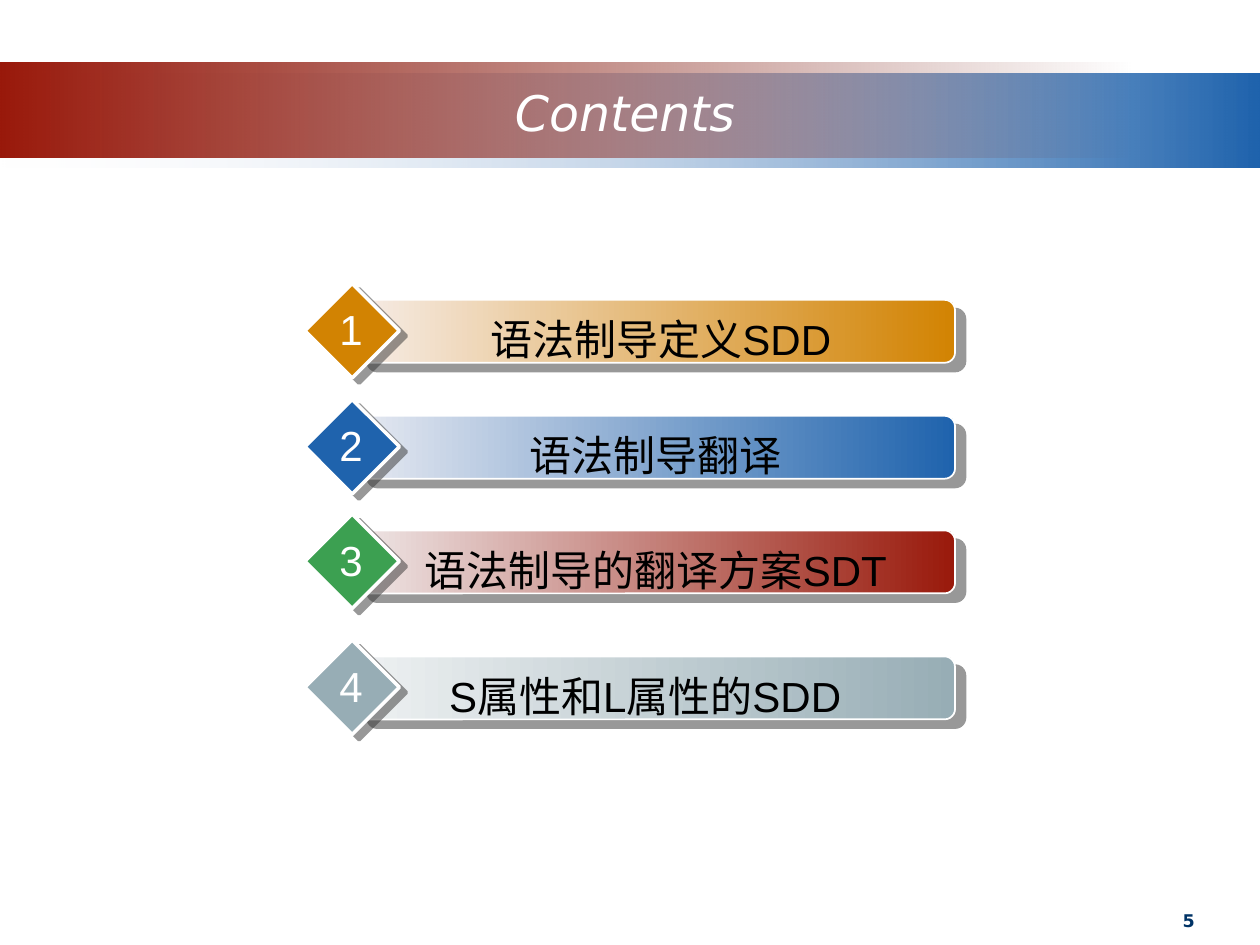
from pptx import Presentation
from pptx.dml.color import RGBColor
from pptx.enum.shapes import MSO_SHAPE as Shape
from pptx.enum.text import MSO_ANCHOR as Anchor, PP_ALIGN as Align
from pptx.oxml.ns import qn
from pptx.util import Inches, Pt
from lxml.etree import SubElement

# top, text width, bar start, bar end, diamond colour, text
ENTRIES = [
    (2.25, 4.33, "F6ECE6", "D28302", "D28302", "语法制导定义SDD"),
    (3.17, 4.25, "E6E9F1", "1F63AD", "1F63AD", "语法制导翻译"),
    (4.08, 4.25, "EEE6E6", "99190B", "3CA051", "语法制导的翻译方案SDT"),
    (5.08, 4.08, "EEF1F2", "97ADB5", "97ADB5", "S属性和L属性的SDD"),
]


def color(value):
    return RGBColor.from_string(value)


def add_box(shapes, kind, left, top, width, height):
    shape = shapes.add_shape(kind, Inches(left), Inches(top), Inches(width), Inches(height))
    shape.shadow.inherit = False
    shape.line.fill.background()
    return shape


def set_gradient(shape, start, end, clear_stop=None):
    """Fill from left to right; clear_stop is the index of a transparent end."""
    shape.fill.gradient()
    shape.fill.gradient_angle = 0
    for index, (stop, value) in enumerate(zip(shape.fill.gradient_stops, (start, end))):
        stop.position = index
        stop.color.rgb = color(value)
    if clear_stop is not None:
        gradient = shape._element.spPr.find(qn("a:gradFill"))
        srgb = list(gradient.iter(qn("a:srgbClr")))[clear_stop]
        SubElement(srgb, qn("a:alpha"), val="0")


def set_outline(shape, width):
    shape.line.color.rgb = color("FFFFFF")
    shape.line.width = Pt(width)


def set_shadow(shape, distance, degrees):
    effects = shape._element.spPr.find(qn("a:effectLst"))
    shadow = SubElement(effects, qn("a:outerShdw"), blurRad="0", dist=str(Pt(distance)),
                        dir=str(degrees * 60000), algn="ctr", rotWithShape="0")
    srgb = SubElement(shadow, qn("a:srgbClr"), val="333333")
    SubElement(srgb, qn("a:alpha"), val="50000")


def add_text(shapes, left, top, width, height, text, size, value,
             font="Arial", align=Align.CENTER, wrap=True, bold=False, italic=False):
    box = shapes.add_textbox(Inches(left), Inches(top), Inches(width), Inches(height))
    frame = box.text_frame
    frame.word_wrap = wrap
    paragraph = frame.paragraphs[0]
    paragraph.text = text
    paragraph.alignment = align
    paragraph.font.name = font
    paragraph.font.size = Pt(size)
    paragraph.font.bold = bold
    paragraph.font.italic = italic
    paragraph.font.color.rgb = color(value)
    return frame


def add_header(slide, left, top, width):
    # Two overlapping bands, each fading out at one end
    blue = add_box(slide.shapes, Shape.RECTANGLE, left, top + 0.08, width, 0.75)
    set_gradient(blue, "F1F2F7", "1F63AD", clear_stop=0)
    red = add_box(slide.shapes, Shape.RECTANGLE, left, top, width - 1, 0.75)
    set_gradient(red, "99190B", "6D1208", clear_stop=1)
    title = add_text(slide.shapes, left + 0.92, top + 0.08, 8.08, 0.62, "Contents", 28,
                     "FFFFFF", font="DejaVu Sans", italic=True)
    title.vertical_anchor = Anchor.MIDDLE


def add_entry(slide, left, top, number, text_width, start, end, accent, text):
    shapes = slide.shapes.add_group_shape().shapes
    # Bar
    bar = add_box(shapes, Shape.ROUNDED_RECTANGLE, left + 0.41, top + 0.13, 4.75, 0.5)
    bar.adjustments[0] = 0.167
    set_gradient(bar, start, end)
    set_outline(bar, 1)
    set_shadow(bar, 7.8, 40)
    # Diamond
    diamond = add_box(shapes, Shape.DIAMOND, left, top, 0.75, 0.75)
    diamond.fill.solid()
    diamond.fill.fore_color.rgb = color(accent)
    set_outline(diamond, 2)
    set_shadow(diamond, 5, 37)
    # Labels
    add_text(shapes, left + 0.66, top + 0.19, text_width, 0.5, text, 24, "000000")
    add_text(shapes, left + 0.17, top + 0.11, 0.39, 0.5, str(number), 24, "FFFFFF", wrap=False)


def main():
    presentation = Presentation()
    presentation.slide_width = Inches(10)
    presentation.slide_height = Inches(7.5)
    slide = presentation.slides.add_slide(presentation.slide_layouts[6])
    add_header(slide, 0, 0.5, 10)
    for number, (top, *details) in enumerate(ENTRIES, 1):
        add_entry(slide, 2.42, top, number, *details)
    # Page number
    add_text(slide.shapes, 7.25, 7.17, 2.33, 0.28, "5", 10, "003366",
             font="DejaVu Sans", align=Align.RIGHT, bold=True)
    presentation.save("out.pptx")


if __name__ == "__main__":
    main()
